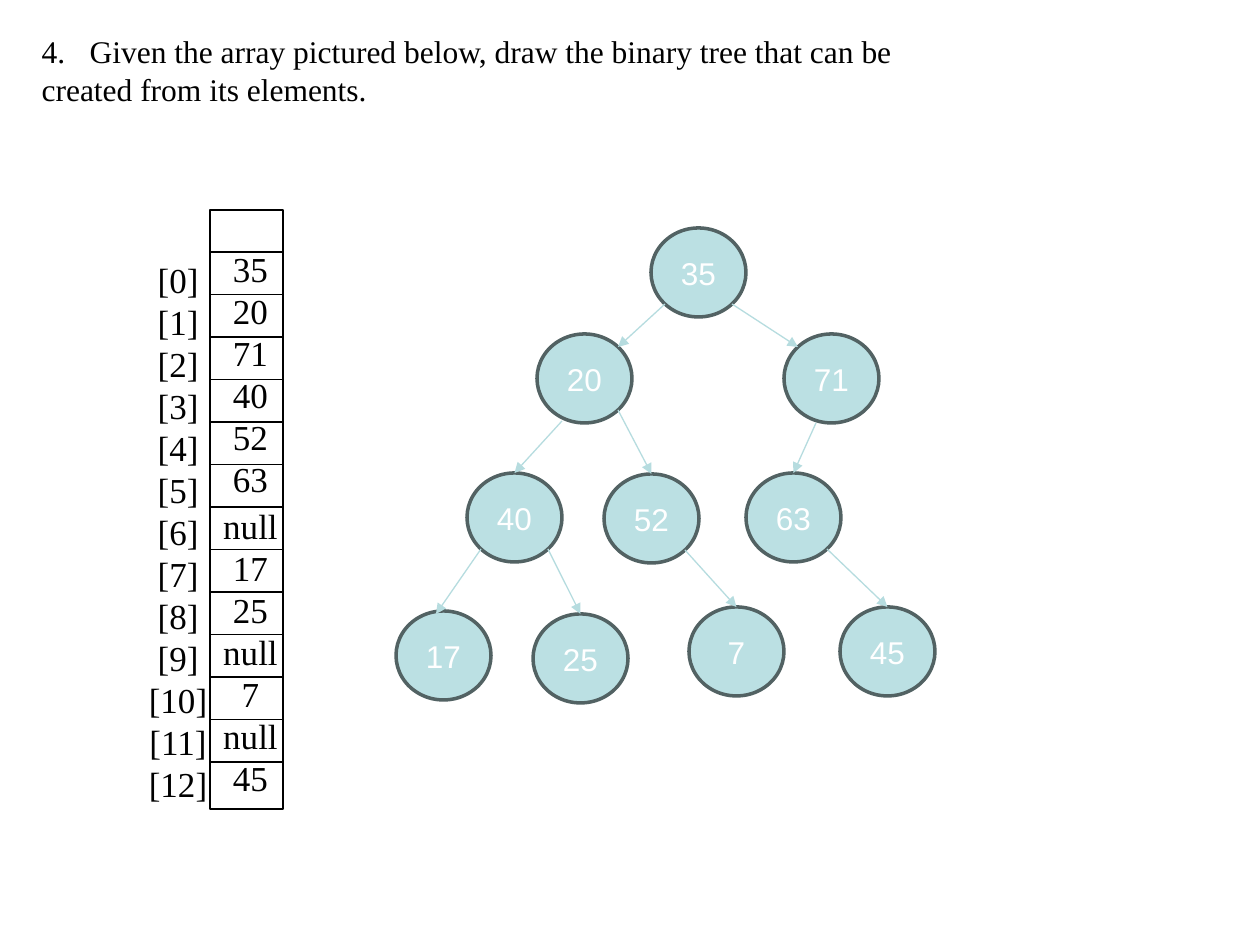
from lxml import etree
from pptx import Presentation
from pptx.dml.color import RGBColor
from pptx.enum.shapes import MSO_CONNECTOR, MSO_SHAPE
from pptx.enum.text import MSO_ANCHOR, MSO_AUTO_SIZE, PP_ALIGN
from pptx.oxml.ns import qn
from pptx.util import Emu, Pt

STRAIGHT = MSO_CONNECTOR.STRAIGHT
RECTANGLE, OVAL = MSO_SHAPE.RECTANGLE, MSO_SHAPE.OVAL
LEFT, CENTER = PP_ALIGN.LEFT, PP_ALIGN.CENTER
TOP, MIDDLE = MSO_ANCHOR.TOP, MSO_ANCHOR.MIDDLE
NO_FIT = MSO_AUTO_SIZE.NONE

BLACK = RGBColor(0x00, 0x00, 0x00)
WHITE = RGBColor(0xFF, 0xFF, 0xFF)
NODE_FILL = RGBColor(0xBB, 0xE0, 0xE3)
NODE_LINE = RGBColor(0x52, 0x62, 0x63)
ARROW = RGBColor(0xB6, 0xDC, 0xDF)

SERIF, SANS = "Times New Roman", "Arial"
TITLE_ONLY = 5
EMU_PER_PX = 914400 / 126
NODE_WIDTH, NODE_HEIGHT = 95, 89

# Points on a node, measured from its top left corner
N, NW, NE, SW, SE = (48, 0), (14, 13), (81, 13), (14, 76), (81, 76)

QUESTION = [
    "Given the array pictured below, draw the binary tree that can be",
    "created from its elements.",
]
VALUES = ["35", "20", "71", "40", "52", "63", "null",
          "17", "25", "null", "7", "null", "45"]
NODES = {
    "35": (651, 228), "20": (537, 334), "71": (784, 334),
    "63": (746, 473), "40": (467, 473), "52": (604, 474),
    "17": (396, 611), "25": (533, 614), "7": (689, 607), "45": (840, 607),
}
EDGES = [
    ("35", SW, "20", NE), ("35", SE, "71", NW),
    ("20", (25, 87), "40", N), ("20", SE, "52", N),
    ("71", (32, 89), "63", N), ("63", SE, "45", N),
    ("52", SE, "7", N), ("40", SE, "25", N), ("40", SW, "17", (40, 3)),
]


def px(length):
    return Emu(round(length * EMU_PER_PX))


def write(frame, lines, font=SERIF, size=20, color=BLACK, align=CENTER,
          anchor=TOP, spacing=None, wrap=False):
    """Fill a text frame with one paragraph for each line."""
    frame.auto_size = NO_FIT
    frame.word_wrap = wrap
    frame.vertical_anchor = anchor
    for index, line in enumerate(lines):
        para = frame.paragraphs[0] if index == 0 else frame.add_paragraph()
        para.alignment = align
        if spacing:
            para.line_spacing = Pt(spacing)
        span = para.add_run()
        span.text = line
        span.font.name = font
        span.font.size = Pt(size)
        span.font.color.rgb = color
    return frame.paragraphs


class Page:
    def __init__(self, deck):
        self.slide = deck.slides.add_slide(deck.slide_layouts[TITLE_ONLY])
        self.shapes = self.slide.shapes

    def title(self, lines, left, top, width, height, number):
        box = self.shapes.title
        box.left, box.top, box.width, box.height = map(px, (left, top, width, height))
        paras = write(box.text_frame, lines, size=18, align=LEFT, spacing=21.6, wrap=True)
        numbering = paras[0]._p.get_or_add_pPr()
        numbering.set("marL", str(px(48)))
        numbering.set("indent", str(px(-48)))
        etree.SubElement(numbering, qn("a:buAutoNum"),
                         type="arabicPeriod", startAt=str(number))

    def column(self, lines, left, top, width, height):
        box = self.shapes.add_textbox(*map(px, (left, top, width, height)))
        return write(box.text_frame, lines, spacing=24)

    def shape(self, kind, left, top, width, height, line, weight, fill=None):
        shape = self.shapes.add_shape(kind, *map(px, (left, top, width, height)))
        shape.shadow.inherit = False
        if fill is None:
            shape.fill.background()
        else:
            shape.fill.solid()
            shape.fill.fore_color.rgb = fill
        shape.line.color.rgb = line
        shape.line.width = Pt(weight)
        return shape

    def node(self, text, left, top):
        oval = self.shape(OVAL, left, top, NODE_WIDTH, NODE_HEIGHT,
                          NODE_LINE, 2, NODE_FILL)
        write(oval.text_frame, [text], font=SANS, size=18, color=WHITE,
              anchor=MIDDLE, wrap=True)
        return oval

    def line(self, start, end, color=BLACK, arrow=False):
        line = self.shapes.add_connector(STRAIGHT, *map(px, (*start, *end)))
        line.line.color.rgb = color
        line.line.width = Pt(0.75)
        properties = line._element.spPr
        if arrow:
            etree.SubElement(properties.find(qn("a:ln")), qn("a:tailEnd"), type="triangle")
        etree.SubElement(properties, qn("a:effectLst"))
        return line

    def edge(self, nodes, parent, leave, child, arrive):
        start, end = [
            (NODES[name][0] + point[0], NODES[name][1] + point[1])
            for name, point in ((parent, leave), (child, arrive))
        ]
        arrow = self.line(start, end, ARROW, arrow=True)
        if arrive == N:
            arrow.end_connect(nodes[child], 0)


def main():
    deck = Presentation()
    deck.slide_width, deck.slide_height = px(1260), px(945)
    page = Page(deck)

    # Question
    page.title(QUESTION, 29, 26, 885, 90, number=4)

    # Array: frame, row lines, indexes and values
    page.shape(RECTANGLE, 210, 210, 73, 599, BLACK, 0.75)
    for row in range(len(VALUES)):
        y = 252 + 42.5 * row
        page.line((210, y), (283, y))
    page.column([f"[{index}]" for index in range(len(VALUES))], 136, 252, 84, 564)
    values = page.column(VALUES, 210, 241, 81, 564)
    values[VALUES.index("null")].space_before = Pt(3)

    # Binary tree
    nodes = {text: page.node(text, *place) for text, place in NODES.items()}
    for edge in EDGES:
        page.edge(nodes, *edge)

    deck.save("out.pptx")


if __name__ == "__main__":
    main()
